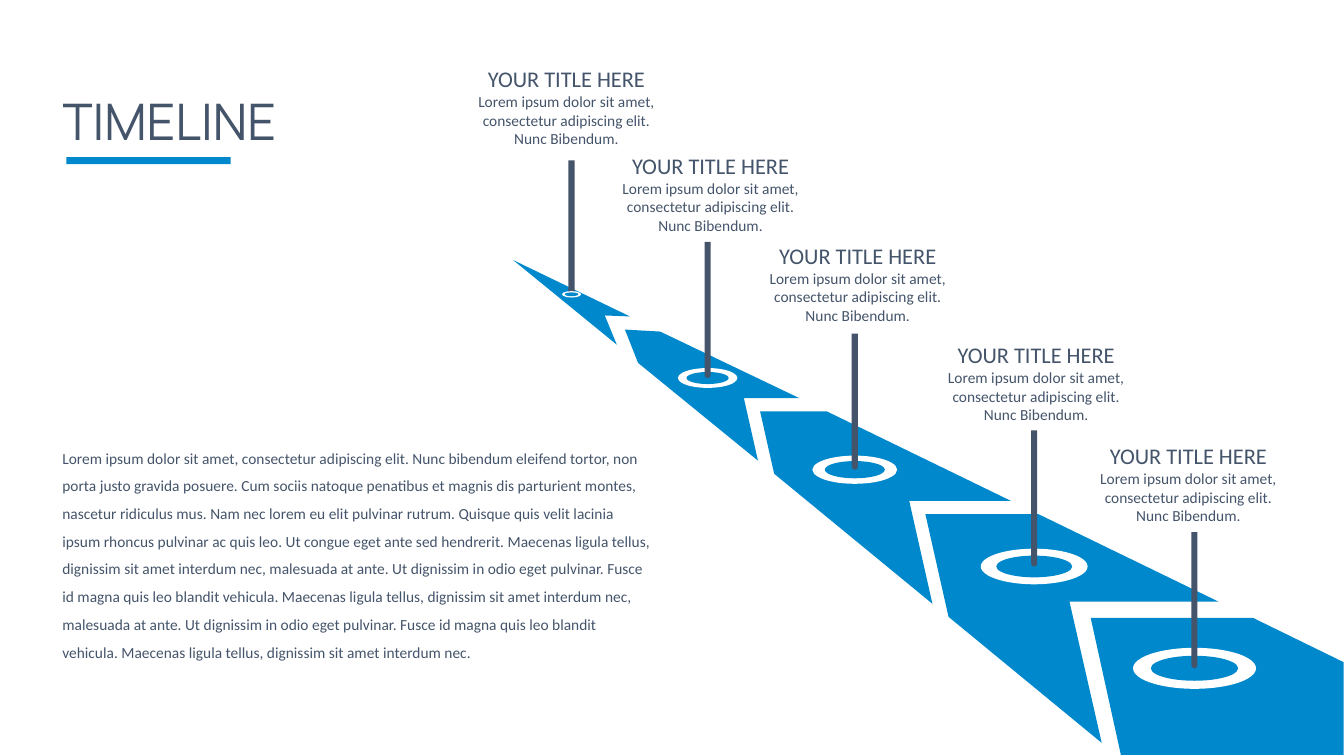
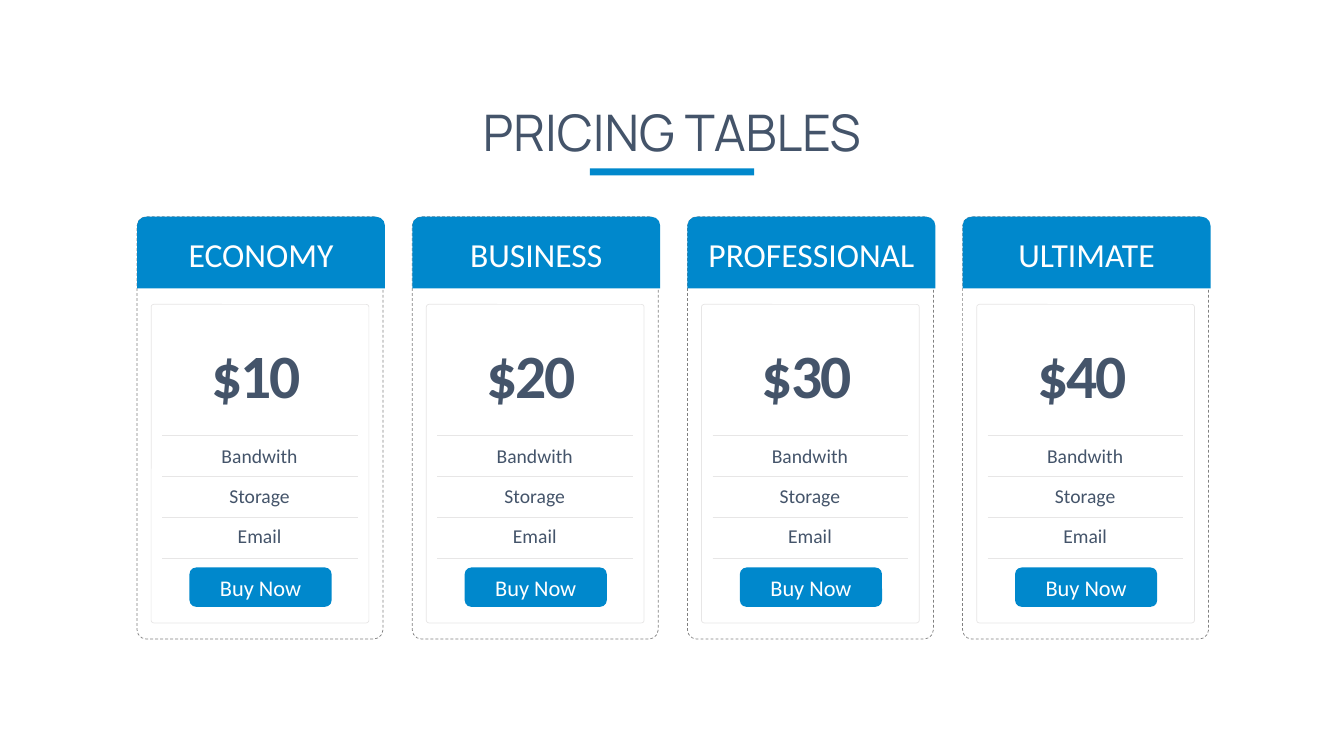
import pptx
import pptx.util
import pptx.dml.color
import pptx.enum.dml
import pptx.enum.shapes
import pptx.enum.text
import pptx.oxml

Inches = pptx.util.Inches
SHAPE = pptx.enum.shapes.MSO_SHAPE
ALIGN = pptx.enum.text.PP_ALIGN
ANCHOR = pptx.enum.text.MSO_ANCHOR
DASH = pptx.enum.dml.MSO_LINE

# ---- Theme ----
SLIDE_W, SLIDE_H = 13.333, 7.5
COLOR = {"accent": "0088CC", "ink": "44546A", "paper": "FFFFFF",
         "hairline": "E7E6E6", "dashes": "808080"}
TYPE = {
    "title": {"name": "Manrope", "size": 36, "color": "ink"},
    "heading": {"name": "Calibri", "size": 16, "color": "ink"},
    "body": {"name": "Calibri", "size": 11, "color": "ink"},
    "feature": {"name": "Calibri", "size": 14, "color": "ink"},
    "price": {"name": "Calibri", "size": 44, "color": "ink", "bold": True},
    "plan": {"name": "Calibri", "size": 24, "color": "paper"},
    "button": {"name": "Calibri", "size": 16, "color": "paper"},
}
TITLE_W, TITLE_H = 5.88, 0.9
RULE_W, RULE_H, RULE_DROP = 1.63, 0.07, 1.02

# ---- Timeline content ----
INTRO = (
    "Lorem ipsum dolor sit amet, consectetur adipiscing elit. Nunc bibendum "
    "eleifend tortor, non porta justo gravida posuere. Cum sociis natoque "
    "penatibus et magnis dis parturient montes, nascetur ridiculus mus. Nam nec "
    "lorem eu elit pulvinar rutrum. Quisque quis velit lacinia ipsum rhoncus "
    "pulvinar ac quis leo. Ut congue eget ante sed hendrerit. Maecenas ligula "
    "tellus, dignissim sit amet interdum nec, malesuada at ante. Ut dignissim in "
    "odio eget pulvinar. Fusce id magna quis leo blandit vehicula. Maecenas ligula "
    "tellus, dignissim sit amet interdum nec, malesuada at ante. Ut dignissim in "
    "odio eget pulvinar. Fusce id magna quis leo blandit vehicula. Maecenas ligula "
    "tellus, dignissim sit amet interdum nec.")
STEP_TITLE = "YOUR TITLE HERE"
STEP_TEXT = "Lorem ipsum dolor sit amet, consectetur adipiscing elit. Nunc Bibendum."
# Far to near: pin centre, pin top, disc width, label centre, label top
MILESTONES = [
    (5.67, 1.59, 0.19, 5.62, 0.60),
    (7.02, 2.40, 0.59, 7.05, 1.46),
    (8.48, 3.31, 0.84, 8.51, 2.35),
    (10.26, 4.27, 1.06, 10.28, 3.34),
    (11.85, 5.28, 1.22, 11.79, 4.34),
]
ROAD_ARROWS = [
    [(6, 3.13), (6.25, 3.14), (5.09, 2.58), (6.12, 3.42)],
    [(7.38, 3.95), (7.93, 3.95), (6.55, 3.29), (6.2, 3.27), (6.33, 3.6), (7.52, 4.57)],
    [(9.02, 4.97), (10.03, 4.97), (8.2, 4.08), (7.54, 4.08), (7.68, 4.7), (9.25, 5.99)],
    [(10.61, 5.97), (12.09, 5.97), (10.3, 5.1), (9.18, 5.1), (9.41, 6.12), (10.93, 7.37)],
    [(12.43, 6.13), (10.82, 6.13), (11.12, 7.49), (13.33, 7.49), (13.33, 6.57)],
]
PIN_W, PIN_H = 0.06, 1.35
LABEL_W, LABEL_H = 2.2, 0.93

# ---- Pricing content ----
PLANS = [("ECONOMY", "$10"), ("BUSINESS", "$20"),
         ("PROFESSIONAL", "$30"), ("ULTIMATE", "$40")]
FEATURES = ["Bandwith", "Storage", "Email"]
BUY = "Buy Now"
CARD_LEFT, CARD_TOP, CARD_PITCH = 1.36, 2.15, 2.73
CARD_W, CARD_H = 2.44, 4.19
ROW_TOP, ROW_H = 4.32, 0.4


# ---- Shared helpers ----
def rgb(key):
    return pptx.dml.color.RGBColor.from_string(COLOR[key])


def box(left, top, width, height):
    return [Inches(v) for v in (left, top, width, height)]


def write(holder, lines, align=ALIGN.LEFT, spacing=None, anchor=ANCHOR.TOP):
    """Fill a shape with (text, type style) paragraphs."""
    frame = holder.text_frame
    frame_format = {"word_wrap": True, "vertical_anchor": anchor,
                    "auto_size": pptx.enum.text.MSO_AUTO_SIZE.NONE}
    for key, value in frame_format.items():
        setattr(frame, key, value)
    for i, (text, style) in enumerate(lines):
        paragraph = frame.add_paragraph() if i else frame.paragraphs[0]
        paragraph.alignment = align
        if spacing:
            paragraph.line_spacing = spacing
        run = paragraph.add_run()
        run.text = text
        for key, value in TYPE[style].items():
            if key == "color":
                run.font.color.rgb = rgb(value)
            else:
                setattr(run.font, key, pptx.util.Pt(value) if key == "size" else value)
    return frame


def add_text(slide, area, lines, **layout):
    return write(slide.shapes.add_textbox(*box(*area)), lines, **layout)


def paint(shape, fill=None, line=None, dash=None):
    shape.shadow.inherit = False
    if fill:
        shape.fill.solid()
        shape.fill.fore_color.rgb = rgb(fill)
    else:
        shape.fill.background()
    if line:
        shape.line.color.rgb = rgb(line)
        shape.line.width = pptx.util.Pt(0.5)
        if dash:
            shape.line.dash_style = dash
    else:
        shape.line.fill.background()
    return shape


def add_block(slide, kind, area, corners=(), **colors):
    shape = paint(slide.shapes.add_shape(kind, *box(*area)), **colors)
    for i, corner in enumerate(corners):
        shape.adjustments[i] = corner
    return shape


def add_divider(slide, left, top, width):
    divider = slide.shapes.add_connector(
        pptx.enum.shapes.MSO_CONNECTOR.STRAIGHT,
        *[Inches(v) for v in (left, top, left + width, top)])
    divider.line.color.rgb = rgb("hairline")
    divider.line.width = pptx.util.Pt(0.5)
    divider._element.spPr.append(pptx.oxml.parse_xml(
        '<a:effectLst xmlns:a="http://schemas.openxmlformats.org/drawingml/2006/main"/>'))


def titled_slide(deck, text, left, top, rule_left, align):
    slide = deck.slides.add_slide(deck.slide_layouts[5])
    title = slide.shapes.title
    places = zip(("left", "top", "width", "height"), box(left, top, TITLE_W, TITLE_H))
    for key, value in places:
        setattr(title, key, value)
    write(title, [(text, "title")], align=align, spacing=1.5)
    add_block(slide, SHAPE.RECTANGLE, (rule_left, top + RULE_DROP, RULE_W, RULE_H),
              fill="accent")
    return slide


# ---- Timeline ----
def add_arrow(slide, points):
    start, *rest = [(Inches(x), Inches(y)) for x, y in points]
    outline = slide.shapes.build_freeform(*start)
    outline.add_line_segments(rest, close=True)
    paint(outline.convert_to_shape(), fill="accent")


def add_disc(slide, x, y, width):
    height = width / 3
    for color, share_w, share_h in (("paper", 1, 1), ("accent", 0.71, 0.61)):
        w, h = width * share_w, height * share_h
        add_block(slide, SHAPE.OVAL, (x - w / 2, y - h / 2, w, h), fill=color)


def add_pin(slide, x, top):
    add_block(slide, SHAPE.ROUND_2_SAME_RECTANGLE, (x - PIN_W / 2, top, PIN_W, PIN_H),
              corners=(0, 0.5), fill="ink")


def build_timeline(deck):
    slide = titled_slide(deck, "TIMELINE", 0.52, 0.54, 0.66, ALIGN.LEFT)
    for points in ROAD_ARROWS:
        add_arrow(slide, points)
    for i, (x, top, disc_w, label_x, label_top) in enumerate(MILESTONES):
        foot = top + PIN_H
        if i == 0:  # the farthest disc lies over its pin
            add_pin(slide, x, top)
            add_disc(slide, x, foot - 0.02, disc_w)
        else:
            add_disc(slide, x, foot, disc_w)
            add_pin(slide, x, top)
        add_text(slide, (label_x - LABEL_W / 2, label_top, LABEL_W, LABEL_H),
                 [(STEP_TITLE, "heading"), (STEP_TEXT, "body")], align=ALIGN.CENTER)
    add_text(slide, (0.52, 4.31, 6.08, 2.32), [(INTRO, "body")], spacing=1.5)


# ---- Pricing ----
def add_card(slide, left, plan, price):
    add_block(slide, SHAPE.ROUNDED_RECTANGLE, (left, CARD_TOP, CARD_W, CARD_H),
              corners=(0.038,), fill="paper", line="dashes", dash=DASH.DASH)
    add_block(slide, SHAPE.ROUNDED_RECTANGLE, (left + 0.14, 3.02, 2.16, 3.16),
              corners=(0.012,), line="hairline")
    amount = add_text(slide, (left + 0.64, 3.29, 1.28, 0.84), [(price, "price")])
    amount.paragraphs[0].runs[0].font._element.set("spc", "-150")
    for row in range(len(FEATURES) + 1):
        add_divider(slide, left + 0.25, ROW_TOP + row * 0.405, 1.94)
    for row, feature in enumerate(FEATURES):
        add_text(slide, (left + 0.39, ROW_TOP + 0.03 + row * ROW_H, 1.65, 0.34),
                 [(feature, "feature")], align=ALIGN.CENTER)
    button = add_block(slide, SHAPE.ROUNDED_RECTANGLE, (left + 0.52, 5.63, 1.41, 0.39),
                       fill="accent")
    header = add_block(slide, SHAPE.ROUND_2_SAME_RECTANGLE, (left, CARD_TOP, 2.46, 0.71),
                       corners=(0.125, 0), fill="accent")
    for shape, text, style in ((button, BUY, "button"), (header, plan, "plan")):
        write(shape, [(text, style)], align=ALIGN.CENTER, anchor=ANCHOR.MIDDLE)


def build_pricing(deck):
    slide = titled_slide(deck, "PRICING TABLES", (SLIDE_W - TITLE_W) / 2, 0.65,
                         (SLIDE_W - RULE_W) / 2, ALIGN.CENTER)
    for column, (plan, price) in enumerate(PLANS):
        add_card(slide, CARD_LEFT + column * CARD_PITCH, plan, price)


def main():
    deck = pptx.Presentation()
    deck.slide_width, deck.slide_height = Inches(SLIDE_W), Inches(SLIDE_H)
    build_timeline(deck)
    build_pricing(deck)
    deck.save("out.pptx")


if __name__ == "__main__":
    main()
